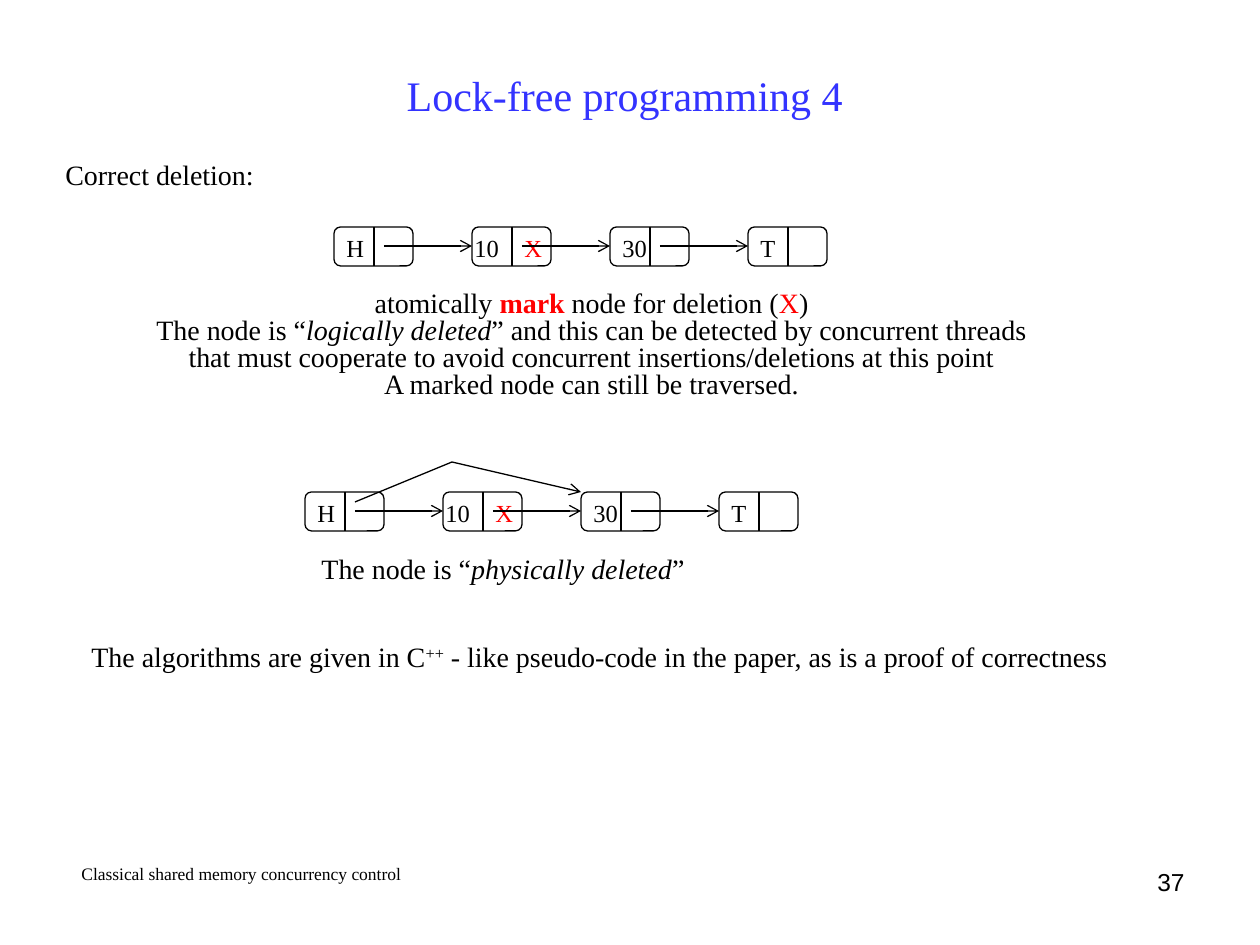
from lxml import etree
from pptx import Presentation
from pptx.dml.color import RGBColor
from pptx.enum.shapes import MSO_CONNECTOR, MSO_SHAPE
from pptx.enum.text import MSO_ANCHOR, MSO_AUTO_SIZE, PP_ALIGN
from pptx.oxml.ns import qn
from pptx.util import Pt

STRAIGHT = MSO_CONNECTOR.STRAIGHT
ROUNDED = MSO_SHAPE.ROUNDED_RECTANGLE
MIDDLE = MSO_ANCHOR.MIDDLE
NO_FIT = MSO_AUTO_SIZE.NONE
LEFT, CENTER, RIGHT = PP_ALIGN.LEFT, PP_ALIGN.CENTER, PP_ALIGN.RIGHT

COLORS = {"title": "3333FF", "ink": "000000", "mark": "FF0000"}
SERIF, SANS = "Times New Roman", "Arial"
PX_PER_INCH = 126
LINE_WIDTH = Pt(0.75)
NODE_WIDTH, NODE_HEIGHT, NODE_PITCH = 79, 39, 138
CELL_WIDTH = 40
POINTER_START = 50

# Label, its offset from the node's left edge, its width, and whether it is marked
NODES = [("H", 0, 43, False), ("10", -10, 59, True),
         ("30", 0, 59, False), ("T", 0, 43, False)]

MARKED = {"color": "mark"}
ITALIC = {"italic": True}
LOGICAL_DELETION = [
    [("atomically ", {}), ("mark", {"color": "mark", "bold": True}),
     (" node for deletion (", {}), ("X", MARKED), (")", {})],
    [("The node is “", {}), ("logically deleted", ITALIC),
     ("” and this can be detected by concurrent threads", {})],
    [("that must cooperate to avoid concurrent insertions/deletions at this point", {})],
    [("A marked node can still be traversed.", {})],
]
PHYSICAL_DELETION = [
    [("The node is “", {}), ("physically deleted", ITALIC), ("” ", {})],
]
ALGORITHMS = [
    [("The algorithms are given in C", {}), ("++", {"baseline": 30000}),
     (" - like pseudo-code in the paper, as is a proof of correctness", {})],
]


def px(length):
    return round(length * 914400 / PX_PER_INCH)


def plain(text, **style):
    return [[(text, style)]]


def write_text(frame, paragraphs, size, align=LEFT, spacing=1.0, font=SERIF):
    """Fill a text frame with paragraphs, each a list of (text, style) runs."""
    frame.word_wrap = True
    frame.auto_size = NO_FIT
    for index, runs in enumerate(paragraphs):
        para = frame.add_paragraph() if index else frame.paragraphs[0]
        para.alignment = align
        para.line_spacing = spacing
        for text, style in runs:
            span = para.add_run()
            span.text = text
            look = {"name": font, "size": Pt(size), "color": "ink", **style}
            span.font.color.rgb = RGBColor.from_string(COLORS[look.pop("color")])
            baseline = look.pop("baseline", None)
            if baseline:
                span.font._element.set("baseline", str(baseline))
            for name, value in look.items():
                setattr(span.font, name, value)


def add_text(shapes, box, paragraphs, size, **layout):
    text_box = shapes.add_textbox(*map(px, box))
    write_text(text_box.text_frame, paragraphs, size, **layout)


def add_line(shapes, start, end, arrow=False):
    line = shapes.add_connector(STRAIGHT, *map(px, (*start, *end)))
    line.line.color.rgb = RGBColor.from_string(COLORS["ink"])
    line.line.width = LINE_WIDTH
    properties = line._element.spPr
    if arrow:
        etree.SubElement(properties.find(qn("a:ln")), qn("a:tailEnd"), type="arrow")
    etree.SubElement(properties, qn("a:effectLst"))


def add_node(shapes, left, top, node, has_next):
    label, offset, width, marked = node
    parts = shapes.add_group_shape().shapes
    cell = parts.add_shape(ROUNDED, *map(px, (left, top, NODE_WIDTH, NODE_HEIGHT)))
    cell.shadow.inherit = False
    cell.fill.background()
    cell.line.color.rgb = RGBColor.from_string(COLORS["ink"])
    cell.line.width = LINE_WIDTH
    middle = left + CELL_WIDTH
    add_line(parts, (middle, top), (middle, top + NODE_HEIGHT))
    add_text(parts, (left + offset, top, width, 43), plain(label), 14)
    if marked:
        add_text(parts, (middle, top, CELL_WIDTH, 43), plain("X", **MARKED), 14)
    if has_next:
        height = top + NODE_HEIGHT // 2
        add_line(parts, (left + POINTER_START, height),
                 (left + NODE_PITCH, height), arrow=True)


def add_linked_list(shapes, left, top, bypass=False):
    """Draw the list; a bypass pointer leads from the head around the marked node."""
    for index, node in enumerate(NODES):
        add_node(shapes, left + index * NODE_PITCH, top, node, index < len(NODES) - 1)
    if bypass:
        bend = (left + 147, top - 30)
        add_line(shapes, (left + POINTER_START, top + 10), bend)
        add_line(shapes, bend, (left + 2 * NODE_PITCH, top), arrow=True)


def add_title(page, box, text):
    title = page.shapes.title
    title.left, title.top, title.width, title.height = map(px, box)
    title.text_frame.vertical_anchor = MIDDLE
    write_text(title.text_frame, plain(text, color="title"), 24, align=CENTER)


def add_footer(shapes, left, top, width):
    add_text(shapes, (left, top, 397, 35),
             plain("Classical shared memory concurrency control"), 10)
    add_text(shapes, (left + width - 294, top + 4, 294, 65), plain("37"), 14,
             align=RIGHT, font=SANS)


def main():
    deck = Presentation()
    deck.slide_width, deck.slide_height = px(1260), px(945)
    page = deck.slides.add_slide(deck.slide_layouts[5])
    shapes = page.shapes

    add_title(page, (63, 55, 1134, 80), "Lock-free programming 4 ")
    add_text(shapes, (53, 158, 307, 40), plain("Correct deletion:"), 16, spacing=0.8)
    add_linked_list(shapes, 334, 227)
    add_text(shapes, (97, 286, 989, 121), LOGICAL_DELETION, 16,
             align=CENTER, spacing=0.8)
    add_linked_list(shapes, 305, 492, bypass=True)
    add_text(shapes, (262, 552, 489, 40), PHYSICAL_DELETION, 16,
             align=CENTER, spacing=0.8)
    add_text(shapes, (79, 640, 1123, 40), ALGORITHMS, 16, spacing=0.8)
    add_footer(shapes, 69, 857, 1128)
    deck.save("out.pptx")


if __name__ == "__main__":
    main()
